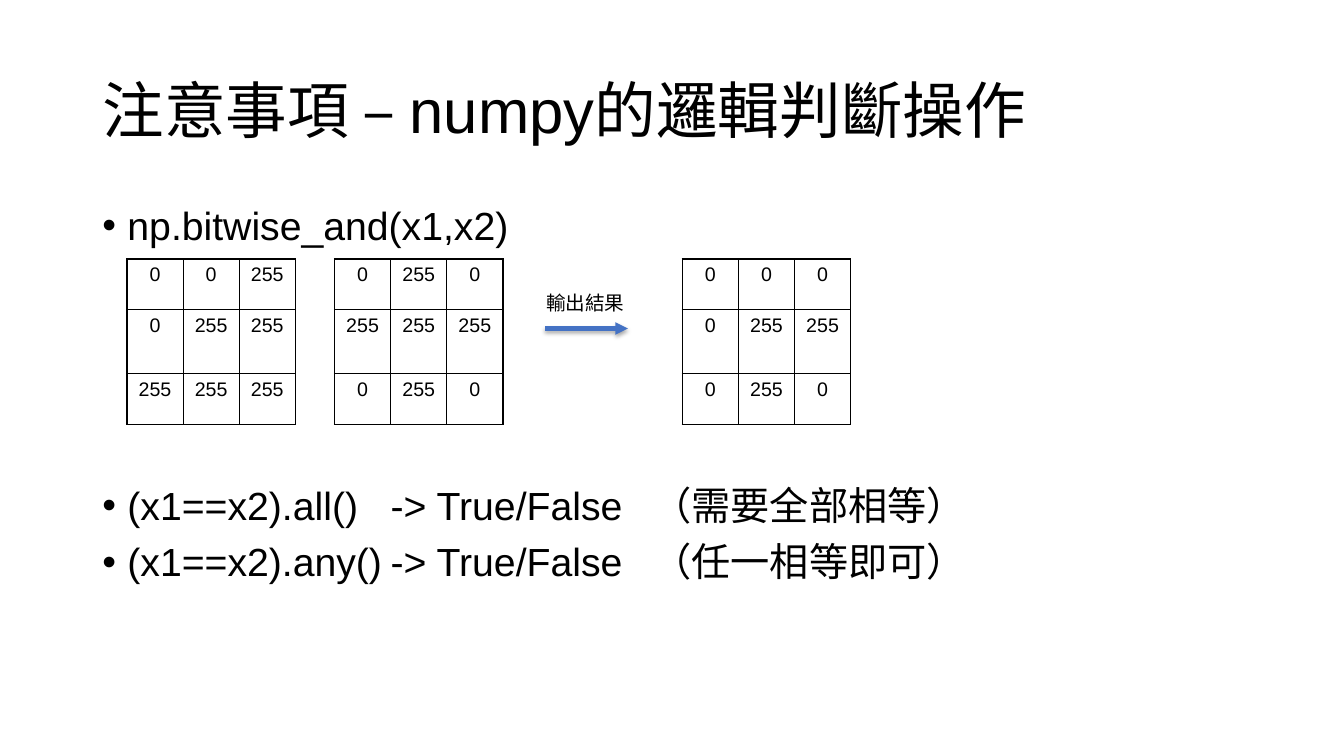
from lxml.etree import SubElement
from pptx import Presentation
from pptx.dml.color import RGBColor
from pptx.enum.shapes import MSO_CONNECTOR
from pptx.enum.text import MSO_ANCHOR, MSO_AUTO_SIZE, PP_ALIGN
from pptx.oxml.ns import qn
from pptx.util import Pt

TITLE = "注意事項 – numpy的邏輯判斷操作"
BULLETS = [
    ("np.bitwise_and(x1,x2)", 0),
    ("(x1==x2).all()\t-> True/False\t（需要全部相等）", 170),
    ("(x1==x2).any()\t-> True/False\t（任一相等即可）", 10),
]
MATRICES = [
    (90.7, [(0, 0, 255), (0, 255, 255), (255, 255, 255)]),
    (239, [(0, 255, 0), (255, 255, 255), (0, 255, 0)]),
    (487.4, [(0, 0, 0), (0, 255, 255), (0, 255, 0)]),
]
ARROW_LABEL = "輸出結果"

COLORS = {"text": "000000", "border": "000000", "arrow": "4472C4", "shadow": "000000"}
FONT = "Arial"
MARGIN_LEFT, CONTENT_WIDTH = 66, 828
BULLET_INDENT = 18
TAB_STOPS = (206, 393)
MATRIX_TOP, COLUMN_WIDTH, ROW_HEIGHTS = 185, 40.1, (36, 46, 36)
ARROW_LEFT, ARROW_RIGHT, ARROW_Y = 389.5, 448.5, 234.7


def add_node(parent, tag, **attributes):
    return SubElement(parent, qn(tag), {key: str(value) for key, value in attributes.items()})


def write(paragraph, text, size, **formats):
    run = paragraph.add_run()
    run.text = text
    run.font.name = FONT
    run.font.size = Pt(size)
    run.font.color.rgb = RGBColor.from_string(COLORS["text"])
    for name, value in formats.items():
        setattr(paragraph, name, value)


def set_frame(frame, **formats):
    for name, value in formats.items():
        setattr(frame, name, value)


def add_bullet(paragraph):
    properties = paragraph._p.get_or_add_pPr()
    properties.set("marL", str(Pt(BULLET_INDENT)))
    properties.set("indent", str(-Pt(BULLET_INDENT)))
    add_node(add_node(properties, "a:buClr"), "a:srgbClr", val=COLORS["text"])
    add_node(properties, "a:buFont", typeface=FONT)
    add_node(properties, "a:buChar", char="•")
    tabs = add_node(properties, "a:tabLst")
    for position in TAB_STOPS:
        add_node(tabs, "a:tab", pos=Pt(position), algn="l")


def add_borders(cell):
    properties = cell._tc.get_or_add_tcPr()
    for side in ("a:lnL", "a:lnR", "a:lnT", "a:lnB"):
        line = add_node(properties, side, w=Pt(1))
        add_node(add_node(line, "a:solidFill"), "a:srgbClr", val=COLORS["border"])


def add_matrix(slide, left, values):
    row_count, column_count = len(values), len(values[0])
    table = slide.shapes.add_table(
        row_count, column_count, Pt(left), Pt(MATRIX_TOP),
        Pt(COLUMN_WIDTH * column_count), Pt(sum(ROW_HEIGHTS)),
    ).table
    table.first_row = table.horz_banding = False
    for column in table.columns:
        column.width = Pt(COLUMN_WIDTH)
    for row, height, numbers in zip(table.rows, ROW_HEIGHTS, values):
        row.height = Pt(height)
        for cell, number in zip(row.cells, numbers):
            write(cell.text_frame.paragraphs[0], str(number), 14, alignment=PP_ALIGN.CENTER)
            add_borders(cell)
            cell.fill.background()


def add_arrow(slide):
    arrow = slide.shapes.add_connector(
        MSO_CONNECTOR.STRAIGHT, Pt(ARROW_LEFT), Pt(ARROW_Y), Pt(ARROW_RIGHT), Pt(ARROW_Y))
    arrow.line.color.rgb = RGBColor.from_string(COLORS["arrow"])
    arrow.line.width = Pt(3)
    properties = arrow._element.spPr
    add_node(properties.find(qn("a:ln")), "a:tailEnd", type="triangle")
    shadow = add_node(
        add_node(properties, "a:effectLst"), "a:outerShdw",
        blurRad=Pt(3.1), dist=Pt(1.8), dir=5400000, rotWithShape=0)
    color = add_node(shadow, "a:srgbClr", val=COLORS["shadow"])
    add_node(color, "a:alpha", val=35000)


presentation = Presentation()
presentation.slide_width, presentation.slide_height = Pt(960), Pt(540)
slide = presentation.slides.add_slide(presentation.slide_layouts[5])

title = slide.shapes.title
title.left, title.top, title.width, title.height = (
    Pt(MARGIN_LEFT), Pt(28.75), Pt(CONTENT_WIDTH), Pt(104.4))
set_frame(title.text_frame, auto_size=MSO_AUTO_SIZE.NONE,
          vertical_anchor=MSO_ANCHOR.MIDDLE, word_wrap=True)
write(title.text_frame.paragraphs[0], TITLE, 44, alignment=PP_ALIGN.LEFT, line_spacing=0.9)

body = slide.shapes.add_textbox(Pt(MARGIN_LEFT), Pt(143.75), Pt(CONTENT_WIDTH), Pt(342.6))
set_frame(body.text_frame, auto_size=MSO_AUTO_SIZE.NONE, word_wrap=True)
for index, (text, gap) in enumerate(BULLETS):
    paragraph = body.text_frame.add_paragraph() if index else body.text_frame.paragraphs[0]
    write(paragraph, text, 28, line_spacing=0.9, space_before=Pt(gap))
    add_bullet(paragraph)

for left, values in MATRICES:
    add_matrix(slide, left, values)

label = slide.shapes.add_textbox(Pt(383), Pt(204.5), Pt(71.3), Pt(24.5))
set_frame(label.text_frame, auto_size=MSO_AUTO_SIZE.SHAPE_TO_FIT_TEXT, word_wrap=False)
write(label.text_frame.paragraphs[0], ARROW_LABEL, 14)
add_arrow(slide)

presentation.save("out.pptx")
